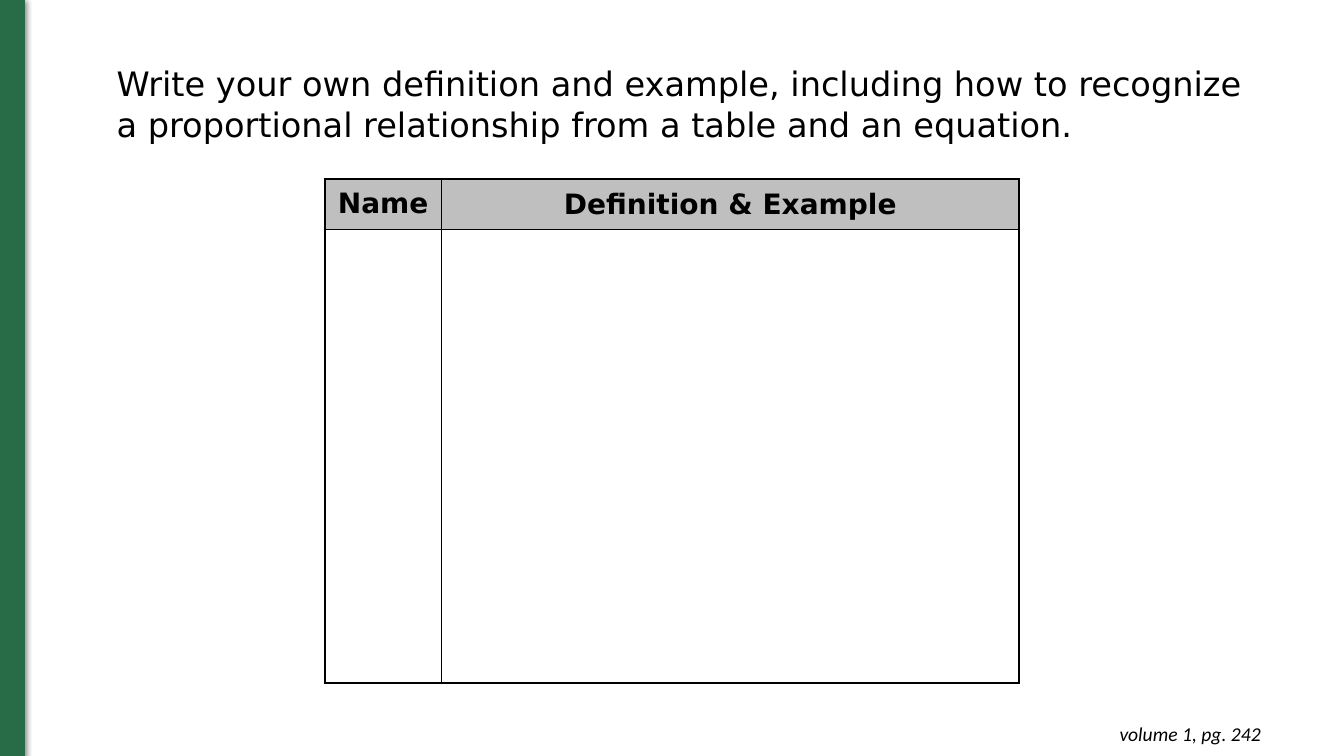
from lxml import etree
from pptx import Presentation
from pptx.dml.color import RGBColor
from pptx.enum.shapes import MSO_SHAPE as Shape
from pptx.enum.text import MSO_ANCHOR as Anchor, MSO_AUTO_SIZE as AutoSize, PP_ALIGN as Align
from pptx.oxml import parse_xml
from pptx.oxml.ns import nsdecls, qn
from pptx.util import Cm, Pt

COLORS = {"green": "276C46", "grey": "BFBFBF", "black": "000000"}
OUTER, INNER = 1.5, 0.75


class SlideBuilder:
    def __init__(self, prs, font="DejaVu Sans"):
        self.s = prs.slides.add_slide(prs.slide_layouts[6])
        self.font = font

    def color(self, name):
        return RGBColor.from_string(COLORS[name])

    def style(self, p, size, font=None, bold=False, italic=False, align=Align.LEFT):
        p.alignment = align
        f = p.font
        f.name, f.size, f.bold, f.italic = font or self.font, Pt(size), bold, italic
        f.color.rgb = self.color("black")

    def bar(self, x, y, w, h, color):
        """Add a filled rectangle with a soft shadow below it."""
        sp = self.s.shapes.add_shape(Shape.RECTANGLE, Cm(x), Cm(y), Cm(w), Cm(h))
        sp.fill.solid()
        sp.fill.fore_color.rgb = sp.line.color.rgb = self.color(color)
        sp.line.width = Pt(0.75)
        sp.shadow.inherit = False
        effects = sp._element.spPr.find(qn("a:effectLst"))
        effects.append(parse_xml(
            f'<a:outerShdw {nsdecls("a")} blurRad="{Pt(4.5)}" dist="{Pt(1.5)}" dir="5400000" '
            f'rotWithShape="0"><a:srgbClr val="{COLORS["black"]}"><a:alpha val="50000"/>'
            '</a:srgbClr></a:outerShdw>'))

    def text(self, x, y, w, h, words, size, indent=0, inset=None, **look):
        tf = self.s.shapes.add_textbox(Cm(x), Cm(y), Cm(w), Cm(h)).text_frame
        tf.word_wrap = True
        tf.auto_size = AutoSize.SHAPE_TO_FIT_TEXT
        if inset is not None:
            tf.margin_left = tf.margin_right = tf.margin_top = tf.margin_bottom = Cm(inset)
        p = tf.paragraphs[0]
        p.text = words
        if indent:
            pPr = p._p.get_or_add_pPr()
            pPr.set("marL", str(Cm(indent)))
            pPr.set("indent", "0")
        self.style(p, size, **look)

    def borders(self, cell, widths):
        """Draw the left, right, top and bottom edges with the given point widths."""
        tcPr = cell._tc.get_or_add_tcPr()
        for side, width in zip("LRTB", widths):
            ln = etree.SubElement(tcPr, qn(f"a:ln{side}"), w=str(Pt(width)))
            fill = etree.SubElement(ln, qn("a:solidFill"))
            etree.SubElement(fill, qn("a:srgbClr"), val=COLORS["black"])

    def table(self, x, y, cols, rows, headings):
        """Add a table with a grey heading row and empty cells below it."""
        table = self.s.shapes.add_table(len(rows), len(cols), Cm(x), Cm(y),
                                        Cm(sum(cols)), Cm(sum(rows))).table
        table.first_row = table.horz_banding = False
        for column, width in zip(table.columns, cols):
            column.width = Cm(width)
        for i, height in enumerate(rows):
            table.rows[i].height = Cm(height)
            for j in range(len(cols)):
                cell = table.cell(i, j)
                edges = (j == 0, j == len(cols) - 1, i == 0, i == len(rows) - 1)
                self.borders(cell, [OUTER if edge else INNER for edge in edges])
                cell.margin_left = cell.margin_right = Cm(0.18)
                cell.margin_top = cell.margin_bottom = 0
                cell.vertical_anchor = Anchor.MIDDLE
                if i:
                    cell.fill.background()
                    continue
                cell.fill.solid()
                cell.fill.fore_color.rgb = self.color("grey")
                p = cell.text_frame.paragraphs[0]
                p.text = headings[j]
                self.style(p, 20, bold=True, align=Align.CENTER)
        return table


def main():
    prs = Presentation()
    prs.slide_width, prs.slide_height = Cm(33.87), Cm(19.05)
    page = SlideBuilder(prs)
    page.bar(0, -0.02, 0.62, 19.07, "green")
    table = page.table(8.18, 4.52, [2.95, 14.55], [1.27, 11.43],
                       ["Name", "Definition & Example"])
    table.cell(0, 0).text_frame.paragraphs[0].line_spacing = Pt(22.5)
    page.text(24.71, 17.93, 7.32, 1.12, "volume 1, pg. 242", 14, inset=0.25,
              font="Calibri", italic=True, align=Align.RIGHT)
    page.text(1.42, 1.47, 30.43, 2.31,
              "Write your own definition and example, including how to recognize "
              "a proportional relationship from a table and an equation.", 24, indent=1.27)
    prs.save("out.pptx")


if __name__ == "__main__":
    main()
